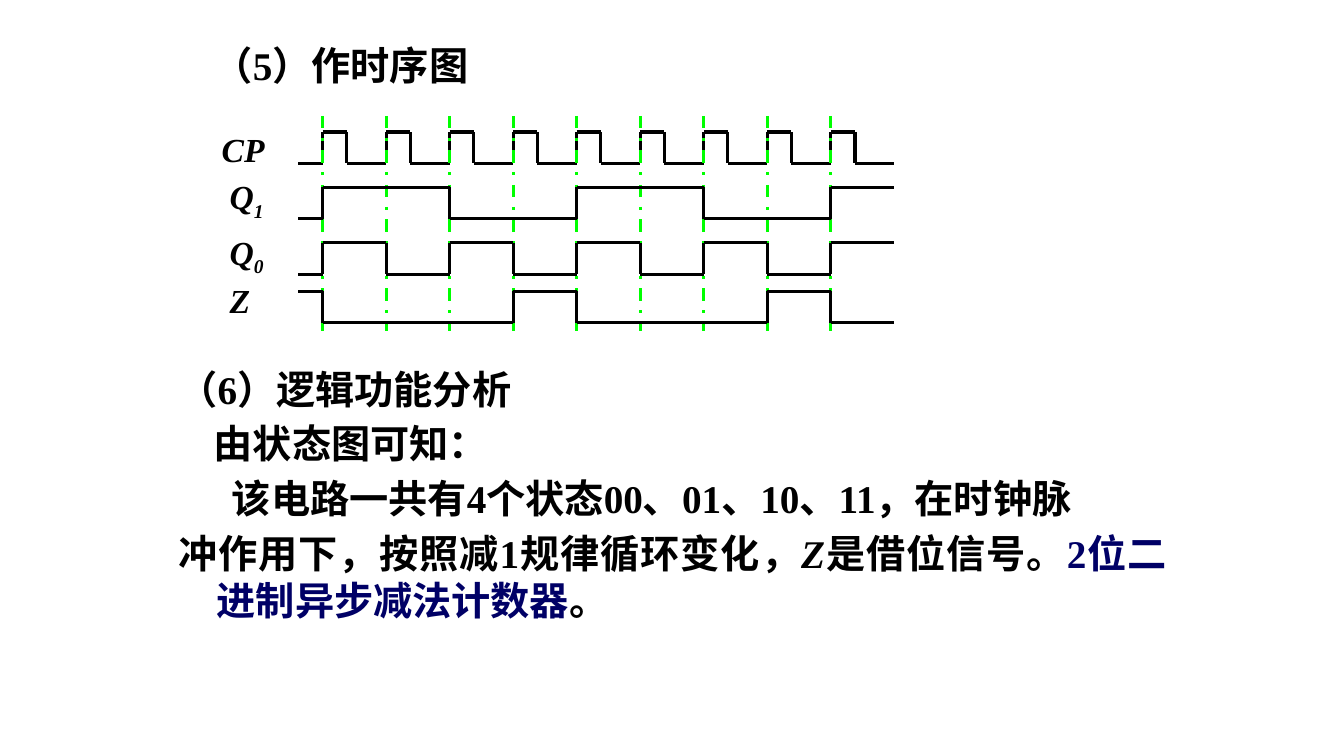
from dataclasses import dataclass

from lxml import etree
from pptx import Presentation
from pptx.dml.color import RGBColor
from pptx.enum.dml import MSO_LINE
from pptx.enum.shapes import MSO_CONNECTOR
from pptx.enum.text import MSO_ANCHOR, MSO_AUTO_SIZE, PP_ALIGN
from pptx.oxml.ns import qn
from pptx.util import Pt

PX = 9144  # EMU per px, 100 px to the inch
STRAIGHT = MSO_CONNECTOR.STRAIGHT
DASH_DOT = MSO_LINE.DASH_DOT
JUSTIFY = PP_ALIGN.JUSTIFY
TOP = MSO_ANCHOR.TOP
NO_FIT = MSO_AUTO_SIZE.NONE


@dataclass(frozen=True)
class Theme:
    font: str = "Times New Roman"
    ink: RGBColor = RGBColor(0x00, 0x00, 0x00)
    accent: RGBColor = RGBColor(0x00, 0x00, 0x66)
    guide: RGBColor = RGBColor(0x00, 0xFF, 0x00)
    body_size: Pt = Pt(28)
    label_size: Pt = Pt(24)
    paragraph_gap: Pt = Pt(5.6)
    line_width: Pt = Pt(2.25)


THEME = Theme()

# Timing grid
START, FIRST_EDGE, PERIOD, CYCLES = 296, 320, 63, 9
EDGES = [FIRST_EDGE + PERIOD * cycle for cycle in range(CYCLES)]
END = FIRST_EDGE + PERIOD * CYCLES
PULSE, SWING = 24, 31
GUIDE_TOP, GUIDE_BOTTOM = 115, 328

# Name, subscript, label top, high level, whether the trace is cut at every edge,
# then the state before the first edge and after each edge
SIGNALS = [
    ("Q", "1", 170, 186, True, "0110011001"),
    ("Q", "0", 225, 241, True, "0101010101"),
    ("Z", "", 273, 289, False, "1000100010"),
]

# Left margin, first-line indent, line spacing, runs of (text, colour, italic)
ANALYSIS = [
    (38, -38, 1.3, [("（6）逻辑功能分析", THEME.ink, False)]),
    (35, 0, 1.0, [("由状态图可知：", THEME.ink, False)]),
    (38, 15, 1.0, [("该电路一共有4个状态00、01、10、11，在时钟脉", THEME.ink, False)]),
    (38, -38, 1.0, [
        ("冲作用下，按照减1规律循环变化，", THEME.ink, False),
        ("Z", THEME.ink, True),
        ("是借位信号。", THEME.ink, False),
        ("2位二进制异步减法计数器", THEME.accent, False),
        ("。", THEME.ink, False),
    ]),
]


def add_run(paragraph, text, size, color=THEME.ink, italic=False):
    run = paragraph.add_run()
    run.text = text
    font = run.font
    font.name, font.size, font.bold, font.italic = THEME.font, size, True, italic
    font.color.rgb = color
    return run


def place(shape, left, top, width, height):
    shape.left, shape.top = left * PX, top * PX
    shape.width, shape.height = width * PX, height * PX
    frame = shape.text_frame
    frame.word_wrap = True
    frame.auto_size = NO_FIT
    frame.vertical_anchor = TOP
    return frame


def format_paragraph(paragraph, margin, indent, spacing, gap):
    """Justify the paragraph without a bullet; margin and indent are in px."""
    paragraph.alignment = JUSTIFY
    paragraph.line_spacing = spacing
    paragraph.space_before = gap
    properties = paragraph._p.get_or_add_pPr()
    properties.set("marL", str(margin * PX))
    properties.set("indent", str(indent * PX))
    etree.SubElement(properties, qn("a:buNone"))


def fill_title(title):
    paragraph = place(title, 202, 36, 350, 47).paragraphs[0]
    format_paragraph(paragraph, 38, -38, 1.0, Pt(0))
    add_run(paragraph, "（5）作时序图", THEME.body_size)


def fill_analysis(body):
    frame = place(body, 167, 343, 1000, 347)
    for index, (margin, indent, spacing, runs) in enumerate(ANALYSIS):
        paragraph = frame.add_paragraph() if index else frame.paragraphs[0]
        gap = THEME.paragraph_gap if index else Pt(0)
        format_paragraph(paragraph, margin, indent, spacing, gap)
        for text, color, italic in runs:
            add_run(paragraph, text, THEME.body_size, color, italic)


def add_label(slide, name, subscript, left, top, width):
    box = slide.shapes.add_textbox(0, 0, 0, 0)
    paragraph = place(box, left, top, width, 50).paragraphs[0]
    add_run(paragraph, name, THEME.label_size, italic=True)
    if subscript:
        run = add_run(paragraph, subscript, THEME.label_size, italic=True)
        run._r.get_or_add_rPr().set("baseline", "-25000")


def add_line(slide, start, end, color):
    line = slide.shapes.add_connector(
        STRAIGHT, *(length * PX for length in (*start, *end)))
    line.line.color.rgb = color
    line.line.width = THEME.line_width
    etree.SubElement(line._element.spPr, qn("a:effectLst"))
    return line


def add_waveform(slide, points):
    """Join successive points, drawing each line rightwards or downwards."""
    for pair in zip(points, points[1:]):
        start, end = sorted(pair)
        if start != end:
            add_line(slide, start, end, THEME.ink)


def add_guide(slide, x):
    guide = add_line(slide, (x, GUIDE_TOP), (x, GUIDE_BOTTOM), THEME.guide)
    guide.line.dash_style = DASH_DOT


def clock_points(high):
    low = high + SWING
    points = [(START, low)]
    for edge in EDGES:
        fall = edge + PULSE
        points += [(edge, low), (edge, high), (fall, high), (fall, low)]
    return points + [(END, low)]


def state_points(high, cut_at_edges, states):
    """Return the points of a trace that changes only at clock edges."""
    levels = [high if state == "1" else high + SWING for state in states]
    points = [(START, levels[0])]
    for edge, before, after in zip(EDGES, levels, levels[1:]):
        if cut_at_edges or before != after:
            points += [(edge, before), (edge, after)]
    return points + [(END, levels[-1])]


def main():
    presentation = Presentation()
    presentation.slide_width, presentation.slide_height = 1333 * PX, 750 * PX
    slide = presentation.slides.add_slide(presentation.slide_layouts[1])
    fill_title(slide.shapes.title)
    fill_analysis(slide.placeholders[1])

    add_waveform(slide, clock_points(131))
    add_label(slide, "CP", "", 210, 123, 87)
    for edge in EDGES:
        add_guide(slide, edge)
    for name, subscript, label_top, high, cut_at_edges, states in SIGNALS:
        add_waveform(slide, state_points(high, cut_at_edges, states))
        add_label(slide, name, subscript, 218, label_top, 71)

    presentation.save("out.pptx")


if __name__ == "__main__":
    main()
